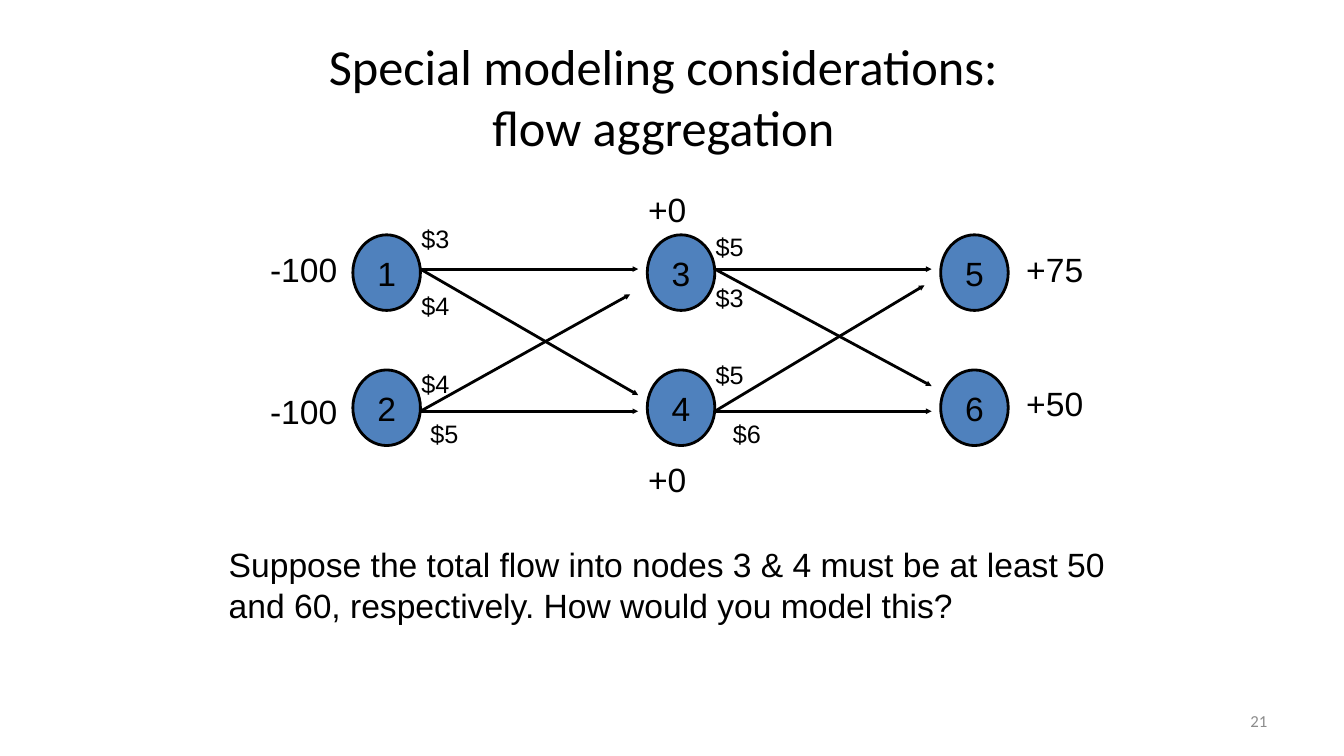
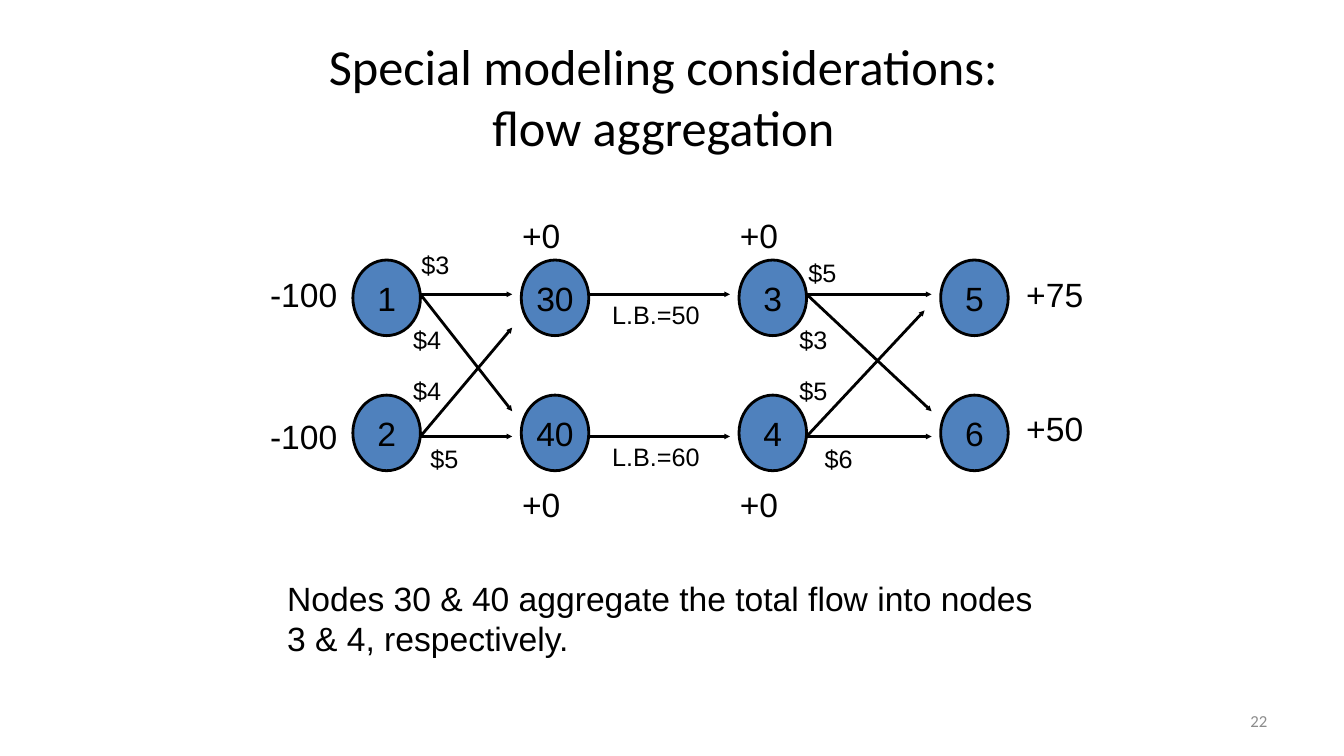
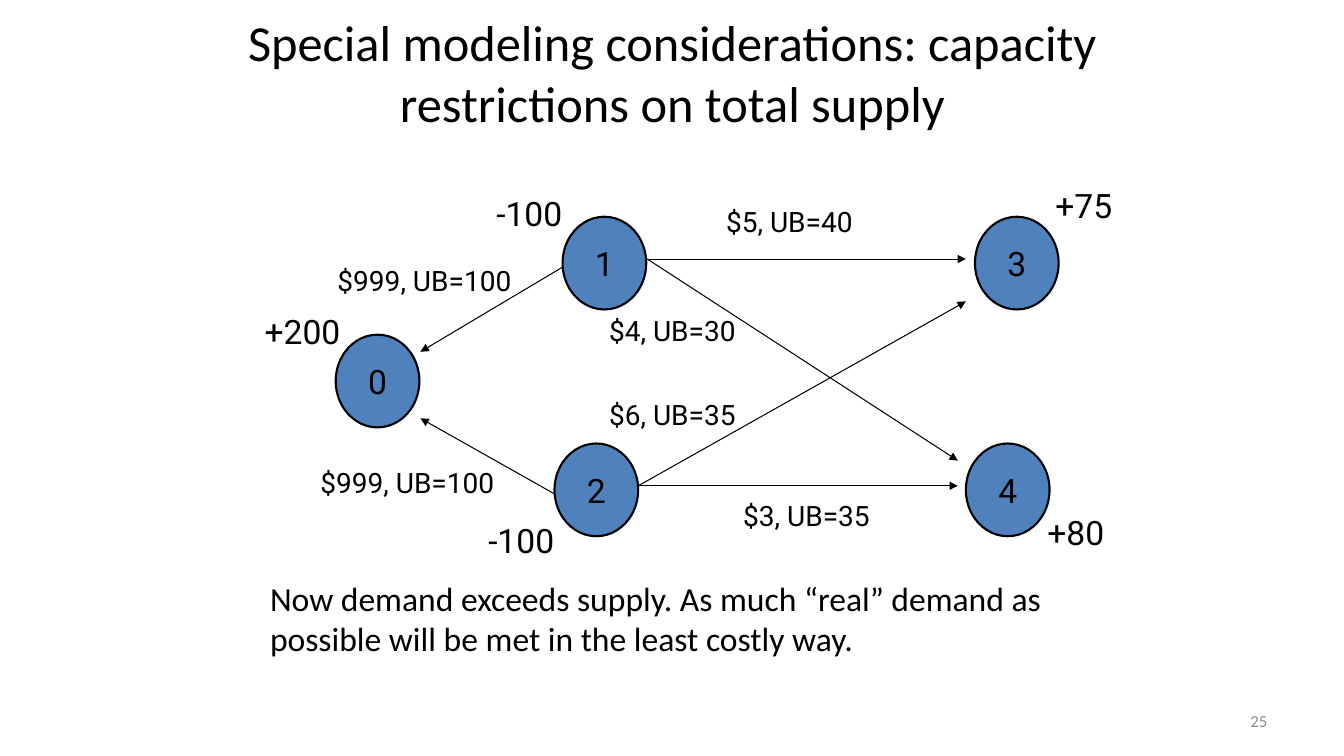
from lxml.etree import SubElement
from pptx import Presentation
from pptx.dml.color import RGBColor
from pptx.enum.shapes import MSO_CONNECTOR, MSO_SHAPE
from pptx.enum.text import MSO_ANCHOR, MSO_AUTO_SIZE, PP_ALIGN
from pptx.oxml.ns import qn
from pptx.util import Inches, Pt

BLACK = RGBColor(0x00, 0x00, 0x00)
WHITE = RGBColor(0xFF, 0xFF, 0xFF)
GRAY = RGBColor(0x8C, 0x8C, 0x8C)
BLUE = RGBColor(0x4F, 0x81, 0xBD)

NODE_WIDTH, NODE_HEIGHT = 0.67, 0.75
NODE_ROWS = (0.5, 1.84)
ARROW_ROWS = (0.84, 2.25)
ARROW_GAP = 0.09


def format_text(frame, text, font, size, color=BLACK, align=PP_ALIGN.LEFT,
                anchor=MSO_ANCHOR.TOP, wrap=True):
    """Fill a text frame and format all of its runs."""
    frame.text = text
    frame.word_wrap = wrap
    frame.auto_size = MSO_AUTO_SIZE.NONE
    frame.vertical_anchor = anchor
    for paragraph in frame.paragraphs:
        paragraph.alignment = align
        for run in paragraph.runs:
            run.font.name = font
            run.font.size = Pt(size)
            run.font.color.rgb = color


def add_label(slide, box, text, font="Arial", size=24, **style):
    """Add a text box at left, top, width, height."""
    shape = slide.shapes.add_textbox(*map(Inches, box))
    format_text(shape.text_frame, text, font, size, **style)
    return shape


def add_node(slide, box, text, font, line_width):
    """Add a numbered network node."""
    shape = slide.shapes.add_shape(MSO_SHAPE.OVAL, *map(Inches, box))
    shape.shadow.inherit = False
    shape.fill.solid()
    shape.fill.fore_color.rgb = BLUE
    shape.line.color.rgb = BLACK
    shape.line.width = Pt(line_width)
    format_text(shape.text_frame, text, font, 24, align=PP_ALIGN.CENTER,
                anchor=MSO_ANCHOR.MIDDLE, wrap=False)


def add_arrow(slide, start, end, width, head):
    """Add a straight arrow whose head has the given size code."""
    connector = slide.shapes.add_connector(
        MSO_CONNECTOR.STRAIGHT, *map(Inches, (*start, *end)))
    connector.line.color.rgb = BLACK
    connector.line.width = Pt(width)
    SubElement(connector.line._get_or_add_ln(), qn("a:tailEnd"),
               type="triangle", w=head, len=head)
    SubElement(connector._element.spPr, qn("a:effectLst"))


def add_titled_slide(presentation, title, title_box, number):
    """Add a slide with its title and page number."""
    slide = presentation.slides.add_slide(presentation.slide_layouts[5])
    shape = slide.shapes.title
    shape.left, shape.top, shape.width, shape.height = map(Inches, title_box)
    format_text(shape.text_frame, title, "Calibri", 36,
                align=PP_ALIGN.CENTER, anchor=MSO_ANCHOR.MIDDLE)
    add_label(slide, (9.56, 6.95, 3.11, 0.4), number, "Calibri", 12,
              color=GRAY, align=PP_ALIGN.RIGHT, anchor=MSO_ANCHOR.MIDDLE)
    return slide


def add_node_column(slide, left, top, names, balanced):
    """Add two stacked nodes, with zero balances outside them if balanced."""
    for name, row in zip(names, NODE_ROWS):
        add_node(slide, (left, top + row, NODE_WIDTH, NODE_HEIGHT), name, "Arial", 2)
    if balanced:
        for row in (0, 2.67):
            add_label(slide, (left - 0.09, top + row, 0.83, 0.5), "+0")


def add_parallel_arrows(slide, source, target, top):
    """Join two node columns along both rows."""
    for row in ARROW_ROWS:
        add_arrow(slide, (source + NODE_WIDTH, top + row),
                  (target - ARROW_GAP, top + row), 2, "sm")


def add_crossing_stage(slide, source, target, top, down_row, up_end, costs):
    """Join two node columns in all four ways and label the costs."""
    edge = source + NODE_WIDTH
    add_parallel_arrows(slide, source, target, top)
    add_arrow(slide, (edge, top + ARROW_ROWS[0]),
              (target - ARROW_GAP, top + down_row), 2, "sm")
    add_arrow(slide, (edge, top + ARROW_ROWS[1]),
              (target - up_end[0], top + up_end[1]), 2, "sm")
    for text, shift, row in costs:
        add_label(slide, (edge + shift, top + row, 0.58, 0.4), text, size=18)


def add_end_balances(slide, left, top):
    """Add supplies left of the network and demands right of it."""
    for text, shift, row in (("-100", 0, 0.59), ("-100", 0, 2),
                             ("+75", 7.5, 0.59), ("+50", 7.5, 1.92)):
        add_label(slide, (left + shift, top + row, 1.08, 0.5), text)


def add_aggregation_slide(presentation, number, top, columns, stages, caption, caption_box):
    """Add a flow aggregation slide and return it with its column positions."""
    slide = add_titled_slide(
        presentation, "Special modeling considerations:\vflow aggregation",
        (2.33, 0.41, 8.5, 1.08), number)
    left = 2.58
    positions = [left + shift for shift, _ in columns]
    for index, (position, (_, names)) in enumerate(zip(positions, columns)):
        add_node_column(slide, position, top, names, 0 < index < len(columns) - 1)
    add_end_balances(slide, left, top)
    add_crossing_stage(slide, *positions[:2], top, *stages[0])
    add_crossing_stage(slide, *positions[-2:], top, *stages[1])
    add_label(slide, caption_box, caption)
    return slide, positions


def add_question_slide(presentation):
    """Add the slide that asks for minimum flows into two nodes."""
    add_aggregation_slide(
        presentation, "21", 1.83,
        ((0.92, "12"), (3.84, "34"), (6.75, "56")),
        ((2.09, (0.17, 1.09), (("$3", -0.09, 0.34), ("$4", -0.09, 1),
                               ("$4", -0.09, 1.77), ("$5", 0, 2.27))),
         (2, (0.16, 1), (("$5", -0.09, 0.42), ("$3", -0.09, 0.92),
                         ("$5", -0.09, 1.69), ("$6", 0.08, 2.27)))),
        "Suppose the total flow into nodes 3 & 4 must be at least 50 and 60, "
        "respectively. How would you model this?",
        (2.17, 5.35, 9.08, 0.91))


def add_answer_slide(presentation):
    """Add the slide with aggregating nodes and lower bounds."""
    top = 2.08
    slide, positions = add_aggregation_slide(
        presentation, "22", top,
        ((0.92, "12"), (2.59, ("30", "40")), (4.75, "34"), (6.75, "56")),
        ((2, (0.09, 1.17), (("$3", -0.09, 0.34), ("$4", -0.17, 1.09),
                            ("$4", -0.17, 1.59), ("$5", 0, 2.27))),
         (2, (0.16, 1), (("$5", -0.08, 0.42), ("$3", -0.17, 1.09),
                         ("$5", -0.17, 1.59), ("$6", 0.08, 2.27)))),
        "Nodes 30 & 40 aggregate the total flow into nodes 3 & 4, respectively.",
        (2.75, 5.68, 7.83, 0.91))
    add_parallel_arrows(slide, *positions[1:3], top)
    for text, row in zip(("L.B.=50", "L.B.=60"), ARROW_ROWS):
        add_label(slide, (positions[1] + 0.75, top + row, 1.17, 0.4), text,
                  size=18, align=PP_ALIGN.CENTER)


def add_capacity_network(slide, left, top):
    """Draw the network with a dummy demand node and upper bounds."""
    nodes = (("1", 3.08, 0.33, "-100", 2.25, 0.08),
             ("2", 3, 2.58, "-100", 2.17, 3.33),
             ("3", 7.17, 0.33, "+75", 7.75, 0),
             ("4", 7.08, 2.58, "+80", 7.67, 3.25),
             ("0", 0.83, 1.5, "+200", 0, 1.25))
    arrows = (((3.92, 0.75), (7.08, 0.75)), ((3.92, 0.75), (7, 2.75)),
              ((3.83, 3), (7.08, 1.17)), ((3.83, 3), (7, 3)),
              ((3.08, 0.83), (1.67, 1.67)), ((3, 3.08), (1.67, 2.33)))
    costs = (("$5, UB=40", 4.83, 0.17, 1), ("$3, UB=35", 5, 3.08, 1),
             ("$6, UB=35", 3.67, 2.08, 1), ("$4, UB=30", 3.67, 1.25, 1),
             ("$999, UB=100", 0.83, 2.75, 1.42), ("$999, UB=100", 1, 0.75, 1.42))
    style = {"font": "Roboto", "align": PP_ALIGN.CENTER,
             "anchor": MSO_ANCHOR.MIDDLE, "wrap": False}
    for name, x, y, balance, balance_x, balance_y in nodes:
        add_node(slide, (left + x, top + y, 0.83, 0.92), name, "Roboto", 1.5)
        add_label(slide, (left + balance_x, top + balance_y, 1, 0.42), balance, **style)
    for start, end in arrows:
        add_arrow(slide, (left + start[0], top + start[1]),
                  (left + end[0], top + end[1]), 0.75, "med")
    for text, x, y, width in costs:
        add_label(slide, (left + x, top + y, width, 0.42), text, size=20, **style)


def add_capacity_slide(presentation):
    """Add the slide on capacity restrictions."""
    slide = add_titled_slide(
        presentation,
        "Special modeling considerations: capacity restrictions on total supply",
        (1.92, 0.33, 9.5, 0.77), "25")
    caption = add_label(
        slide, (2.58, 5.68, 8.33, 0.92),
        "Now demand exceeds supply. As much “real” demand as possible "
        "will be met in the least costly way.", "Calibri")
    caption.fill.solid()
    caption.fill.fore_color.rgb = WHITE
    add_capacity_network(slide, 2.5, 1.82)


def main():
    """Build and save the presentation."""
    presentation = Presentation()
    presentation.slide_width = Inches(13.33)
    presentation.slide_height = Inches(7.5)
    add_question_slide(presentation)
    add_answer_slide(presentation)
    add_capacity_slide(presentation)
    presentation.save("out.pptx")


if __name__ == "__main__":
    main()
